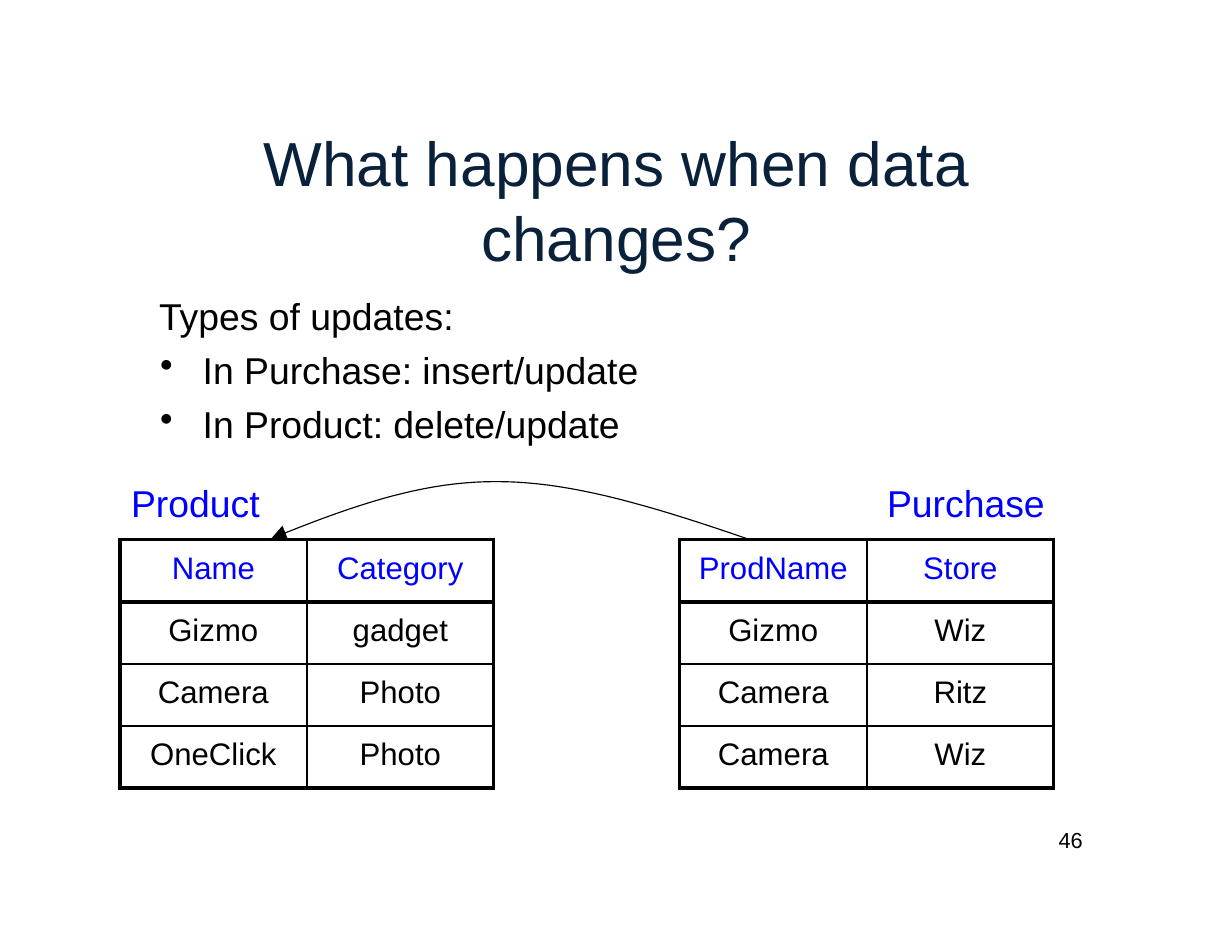
from dataclasses import dataclass

from lxml import etree
from pptx import Presentation
from pptx.dml.color import RGBColor
from pptx.enum import text as t
from pptx.oxml import ns
from pptx.util import Inches, Pt

BLACK = RGBColor(0x00, 0x00, 0x00)
BLUE = RGBColor(0x00, 0x00, 0xFF)
NAVY = RGBColor(0x09, 0x21, 0x3B)
FONT = "Arial"

TABLE_TOP = 4.82
COLUMN_WIDTH = 1.67
ROW_HEIGHT = 0.555
THIN, MEDIUM, EDGE, THICK = 1, 1.5, 2.25, 3


@dataclass(frozen=True)
class Relation:
    name: str
    name_left: float
    name_width: float
    left: float
    left_border: float
    rows: tuple[tuple[str, str], ...]


RELATIONS = (
    Relation("Product", 1.17, 1.18, 1.07, THICK,
             (("Name", "Category"), ("Gizmo", "gadget"),
              ("Camera", "Photo"), ("OneClick", "Photo"))),
    Relation("Purchase", 7.92, 1.43, 6.07, EDGE,
             (("ProdName", "Store"), ("Gizmo", "Wiz"),
              ("Camera", "Ritz"), ("Camera", "Wiz"))),
)


def write_text(frame, *lines: str, size: float, color: RGBColor = BLACK,
               align=t.PP_ALIGN.LEFT, space_before: float = 0,
               bullets_from: int | None = None) -> None:
    """Write one paragraph per line; lines from bullets_from on get a bullet."""
    for index, line in enumerate(lines):
        paragraph = frame.paragraphs[0] if index == 0 else frame.add_paragraph()
        paragraph.alignment = align
        paragraph.space_before = Pt(space_before if index else 0)
        run = paragraph.add_run()
        run.text = line
        run.font.name = FONT
        run.font.size = Pt(size)
        run.font.color.rgb = color
        if bullets_from is not None and index >= bullets_from:
            properties = paragraph._p.get_or_add_pPr()
            properties.set("marL", str(Inches(0.39)))
            properties.set("indent", str(Inches(-0.38)))
            etree.SubElement(properties, ns.qn("a:buChar")).set("char", "•")


def set_margins(frame, top: float = 0) -> None:
    frame.margin_left = frame.margin_right = frame.margin_bottom = 0
    frame.margin_top = Inches(top)


def add_text(slide, left: float, top: float, width: float, height: float,
             *lines: str, margin_top: float = 0.01, **text_format) -> None:
    box = slide.shapes.add_textbox(Inches(left), Inches(top),
                                   Inches(width), Inches(height))
    box.text_frame.word_wrap = True
    set_margins(box.text_frame, margin_top)
    write_text(box.text_frame, *lines, **text_format)


def set_borders(cell, **widths: float) -> None:
    """Draw black borders; the sides must come in the order L, R, T, B."""
    properties = cell._tc.get_or_add_tcPr()
    for position, (side, width) in enumerate(widths.items()):
        line = etree.Element(ns.qn(f"a:ln{side}"), w=str(Pt(width)))
        fill = etree.SubElement(line, ns.qn("a:solidFill"))
        etree.SubElement(fill, ns.qn("a:srgbClr")).set("val", str(BLACK))
        properties.insert(position, line)


def add_relation(slide, relation: Relation) -> None:
    add_text(slide, relation.name_left, 4.28, relation.name_width, 0.43,
             relation.name, size=24, color=BLUE)
    row_count, column_count = len(relation.rows), len(relation.rows[0])
    table = slide.shapes.add_table(
        row_count, column_count, Inches(relation.left), Inches(TABLE_TOP),
        Inches(COLUMN_WIDTH * column_count), Inches(ROW_HEIGHT * row_count)).table
    table.first_row = table.horz_banding = False
    column_lines = (relation.left_border, THIN, EDGE)
    row_lines = (EDGE, THICK, MEDIUM, MEDIUM, THICK)
    for row, values in enumerate(relation.rows):
        for column, value in enumerate(values):
            cell = table.cell(row, column)
            cell.fill.background()
            set_margins(cell, 0.1)
            write_text(cell.text_frame, value, size=20, align=t.PP_ALIGN.CENTER,
                       color=BLACK if row else BLUE)
            set_borders(cell, L=column_lines[column], R=column_lines[column + 1],
                        T=row_lines[row], B=row_lines[row + 1])


def add_curved_arrow(slide, *controls: tuple[float, float], steps: int = 40) -> None:
    """Draw a cubic Bézier curve with an arrowhead at its end."""
    points = []
    for step in range(steps + 1):
        s = step / steps
        weights = ((1 - s) ** 3, 3 * s * (1 - s) ** 2, 3 * s * s * (1 - s), s ** 3)
        points.append(tuple(Inches(sum(w * c for w, c in zip(weights, axis)))
                            for axis in zip(*controls)))
    builder = slide.shapes.build_freeform(*points[0])
    builder.add_line_segments(points[1:], close=False)
    curve = builder.convert_to_shape()
    curve.shadow.inherit = False
    curve.fill.background()
    curve.line.color.rgb = BLACK
    curve.line.width = Pt(0.75)
    etree.SubElement(curve.line._get_or_add_ln(), ns.qn("a:tailEnd"),
                     type="triangle", w="lg", len="lg")


def main() -> None:
    presentation = Presentation()
    presentation.slide_width = Inches(11)
    presentation.slide_height = Inches(8.5)
    slide = presentation.slides.add_slide(presentation.slide_layouts[5])

    title = slide.shapes.title
    title.left, title.top = Inches(2.15), Inches(1.1)
    title.width, title.height = Inches(6.7), Inches(1.36)
    frame = title.text_frame
    frame.word_wrap = True
    frame.auto_size = t.MSO_AUTO_SIZE.NONE
    frame.vertical_anchor = t.MSO_ANCHOR.TOP
    set_margins(frame, 0.01)
    write_text(frame, "What happens when data changes?", size=40, color=NAVY,
               align=t.PP_ALIGN.CENTER)

    add_text(slide, 1.42, 2.53, 4.4, 1.47, "Types of updates:",
             "In Purchase: insert/update", "In Product: delete/update",
             margin_top=0.09, size=24, space_before=5.8, bullets_from=1)
    for relation in RELATIONS:
        add_relation(slide, relation)
    add_curved_arrow(slide, (6.67, 4.81), (4.7, 4.13), (4.08, 4.13), (2.42, 4.81))
    add_text(slide, 9.39, 7.38, 0.34, 0.25, "46", margin_top=0, size=14,
             align=t.PP_ALIGN.CENTER)

    presentation.save("out.pptx")


if __name__ == "__main__":
    main()
